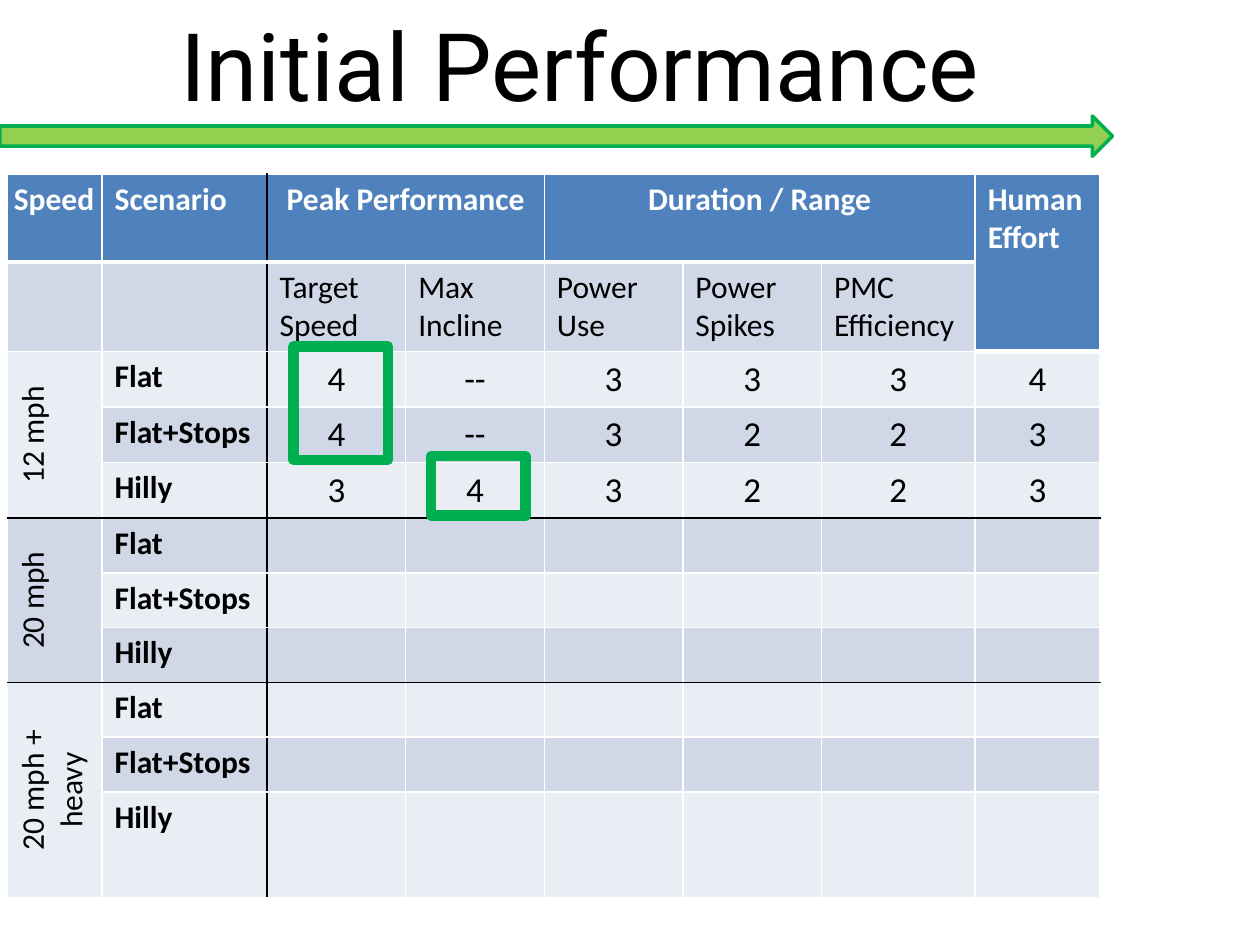
from lxml import etree
from pptx import Presentation, util as u
from pptx.dml import color
from pptx.enum import shapes, text
from pptx.oxml import ns

BLACK, WHITE, GREEN = "000000", "FFFFFF", "00B050"
HEADER, BAND_DARK, BAND_LIGHT = "4F81BD", "D0D8E8", "E9EDF4"
WIDTHS = [0.75, 1.31, 1.1, 1.1, 1.1, 1.1, 1.22, 0.99]
HEIGHTS = [0.7, 0.69] + [0.435] * 8 + [0.83]
HEADINGS = {0: "Speed", 1: "Scenario", 2: "Peak Performance",
            4: "Duration / Range", 7: "Human Effort"}
MEASURES = ["Target Speed", "Max Incline", "Power Use", "Power Spikes", "PMC Efficiency"]
SPEEDS = ["12 mph", "20 mph", "20 mph + heavy"]
SCENARIOS = ["Flat", "Flat+Stops", "Hilly"]
SCORES = [["4", "--", "3", "3", "3", "4"],
          ["4", "--", "3", "2", "2", "3"],
          ["3", "4", "3", "2", "2", "3"]]
GROUP_STARTS = [2, 5, 8]


def rgb(value):
    return color.RGBColor.from_string(value)


def add_span(para, words, size, ink=BLACK, bold=False, font="Calibri"):
    span = para.add_run()
    span.text = words
    span.font.name = font
    span.font.size = u.Pt(size)
    span.font.bold = bold
    span.font.color.rgb = rgb(ink)


def add_title(page, words):
    box = page.shapes.title
    box.left, box.top = u.Inches(1.33), u.Inches(0)
    box.width, box.height = u.Inches(8.83), u.Inches(1.01)
    para = box.text_frame.paragraphs[0]
    para.alignment = text.PP_ALIGN.LEFT
    add_span(para, words, 54, font="Roboto")


def add_outline(page, kind, place, width, fill=None):
    box = page.shapes.add_shape(kind, *[u.Inches(length) for length in place])
    box.shadow.inherit = False
    if fill:
        box.fill.solid()
        box.fill.fore_color.rgb = rgb(fill)
    else:
        box.fill.background()
    box.line.color.rgb = rgb(GREEN)
    box.line.width = u.Pt(width)


def set_border(cell, side, ink, width):
    properties = cell._tc.get_or_add_tcPr()
    line = etree.SubElement(properties, ns.qn(f"a:ln{side}"), w=str(u.Pt(width)))
    fill = etree.SubElement(line, ns.qn("a:solidFill"))
    etree.SubElement(fill, ns.qn("a:srgbClr"), val=ink)


def style_cell(cell, row, column):
    group = column == 0 and row >= 2
    first = row - (row - 2) % 3 if group else row
    last = first + 2 if group else row
    heading = row == 0 or (row == 1 and column == 7)
    set_border(cell, "L", BLACK if column == 2 else WHITE, 1)
    set_border(cell, "R", BLACK if column == 1 else WHITE, 1)
    set_border(cell, "T", BLACK if first in GROUP_STARTS[1:] else WHITE, 1)
    set_border(cell, "B", BLACK if last + 1 in GROUP_STARTS[1:] else WHITE,
               3 if heading else 1)
    cell.fill.solid()
    band = BAND_DARK if first % 2 else BAND_LIGHT
    cell.fill.fore_color.rgb = rgb(HEADER if heading else band)


def write_cell(cell, words, size=18, ink=BLACK, bold=False, centred=False):
    para = cell.text_frame.paragraphs[0]
    if centred:
        para.alignment = text.PP_ALIGN.CENTER
    add_span(para, words, size, ink, bold)


def fill_headings(table):
    for column, words in HEADINGS.items():
        write_cell(table.cell(0, column), words, ink=WHITE, bold=True,
                   centred=column in (2, 4))
    speed = table.cell(0, 0)
    speed.margin_left = speed.margin_right = u.Inches(0.05)
    for column, words in enumerate(MEASURES, 2):
        write_cell(table.cell(1, column), words)


def fill_groups(table):
    for start, speed in zip(GROUP_STARTS, SPEEDS):
        cell = table.cell(start, 0)
        write_cell(cell, speed, centred=True)
        cell.vertical_anchor = text.MSO_ANCHOR.MIDDLE
        cell._tc.get_or_add_tcPr().set("vert", "vert270")
        for row, scenario in enumerate(SCENARIOS, start):
            write_cell(table.cell(row, 1), scenario, bold=True)
    for row, scores in enumerate(SCORES, GROUP_STARTS[0]):
        for column, score in enumerate(scores, 2):
            write_cell(table.cell(row, column), score, size=20, centred=True)


def add_scores(page):
    frame = page.shapes.add_table(len(HEIGHTS), len(WIDTHS), u.Inches(0.06), u.Inches(1.38),
                                  u.Inches(sum(WIDTHS)), u.Inches(sum(HEIGHTS)))
    table = frame.table
    for column, width in zip(table.columns, WIDTHS):
        column.width = u.Inches(width)
    for row, height in zip(table.rows, HEIGHTS):
        row.height = u.Inches(height)
    for row in range(len(HEIGHTS)):
        for column in range(len(WIDTHS)):
            style_cell(table.cell(row, column), row, column)
    merges = [(0, 2, 0, 3), (0, 4, 0, 6), (0, 7, 1, 7)]
    merges += [(start, 0, start + 2, 0) for start in GROUP_STARTS]
    for top, left, bottom, right in merges:
        table.cell(top, left).merge(table.cell(bottom, right))
    fill_headings(table)
    fill_groups(table)


def main():
    deck = Presentation()
    deck.slide_width, deck.slide_height = u.Inches(10), u.Inches(7.5)
    page = deck.slides.add_slide(deck.slide_layouts[5])
    add_title(page, "Initial Performance")
    kinds = shapes.MSO_SHAPE
    add_outline(page, kinds.RIGHT_ARROW, (0, 0.92, 8.83, 0.32), 2, "92D050")
    add_scores(page)
    add_outline(page, kinds.RECTANGLE, (2.33, 2.75, 0.75, 0.9), 6)
    add_outline(page, kinds.RECTANGLE, (3.42, 3.62, 0.75, 0.47), 6)
    deck.save("out.pptx")


if __name__ == "__main__":
    main()
